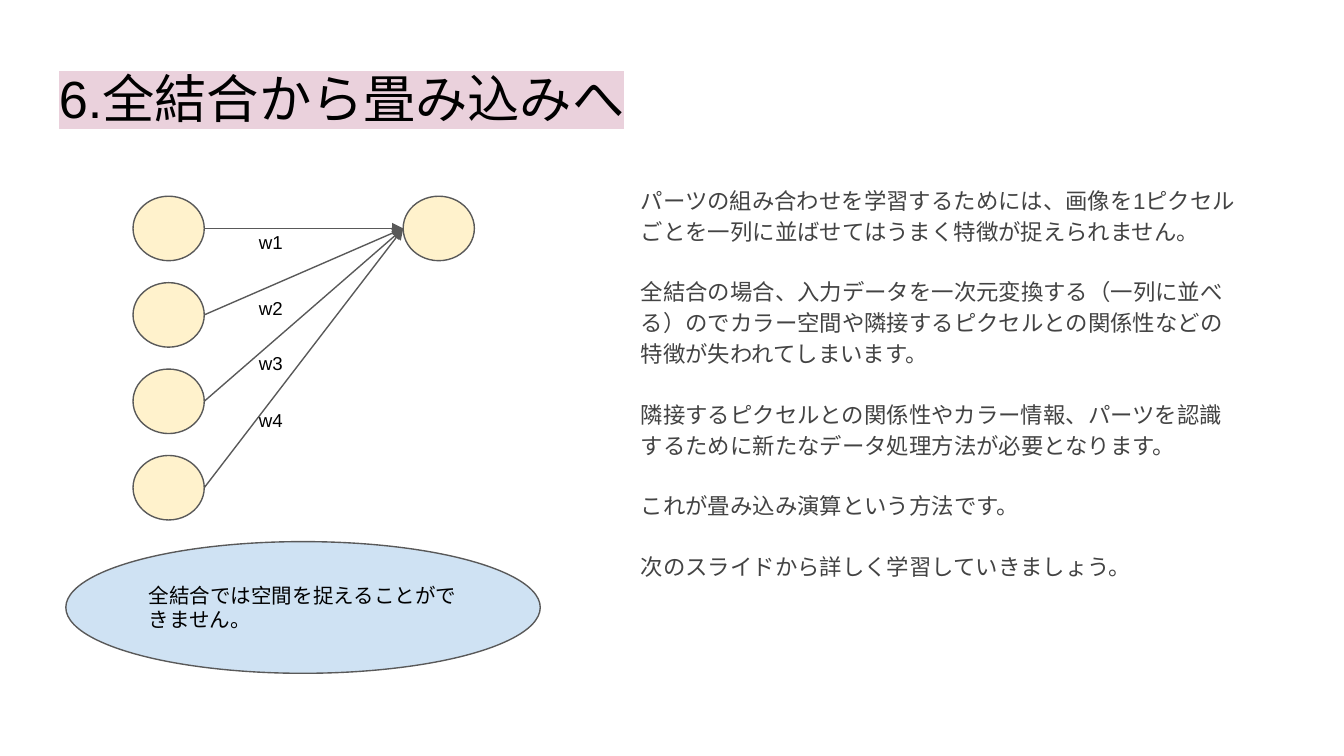
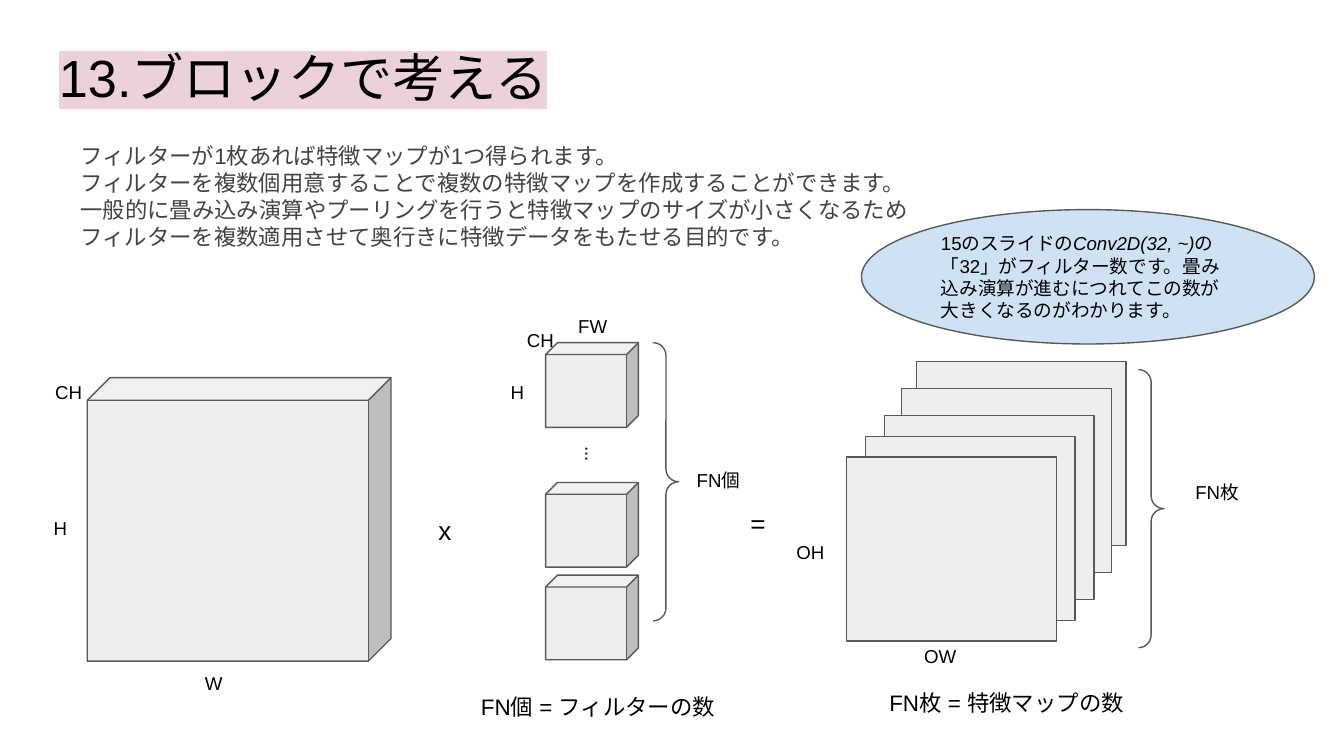
from dataclasses import dataclass
from typing import NamedTuple, Optional

from lxml.etree import SubElement
from pptx import Presentation
from pptx.dml.color import RGBColor
from pptx.enum.shapes import MSO_CONNECTOR as Connector, MSO_SHAPE as Preset
from pptx.enum.text import MSO_ANCHOR as Anchor, MSO_AUTO_SIZE as AutoSize, PP_ALIGN as Align
from pptx.oxml import parse_xml
from pptx.oxml.ns import nsdecls, qn
from pptx.shapes.autoshape import Shape
from pptx.slide import Slide
from pptx.util import Emu, Inches, Pt

SLIDE_WIDTH, SLIDE_HEIGHT = Inches(10), Inches(5.625)
GRID_UNIT = SLIDE_WIDTH / 100

BLACK = RGBColor(0x00, 0x00, 0x00)
GRAY_TEXT = RGBColor(0x43, 0x43, 0x43)
OUTLINE = RGBColor(0x59, 0x59, 0x59)
PINK = RGBColor(0xEA, 0xD1, 0xDC)
CREAM = RGBColor(0xFF, 0xF2, 0xCC)
PALE_BLUE = RGBColor(0xCF, 0xE2, 0xF3)
PALE_GRAY = RGBColor(0xEE, 0xEE, 0xEE)
FONT = "Arial"
INSET = Inches(0.1)


class Area(NamedTuple):
    left: float
    top: float
    width: float
    height: float


class Span(NamedTuple):
    text: str
    italic: bool = False


@dataclass(frozen=True)
class TextStyle:
    size: float
    color: RGBColor = BLACK
    highlight: Optional[RGBColor] = None
    align: Align = Align.LEFT
    anchor: Anchor = Anchor.TOP
    line_spacing: Optional[float] = None
    gap: float = 0


@dataclass(frozen=True)
class Label:
    text: str
    area: Area
    size: float = 10
    anchor: Anchor = Anchor.MIDDLE
    rotation: float = 0


@dataclass(frozen=True)
class Figure:
    preset: Preset
    area: Area
    fill: Optional[RGBColor] = None
    adjustments: tuple[float, ...] = ()


TITLE = TextStyle(28, highlight=PINK)
BODY = TextStyle(12, GRAY_TEXT, line_spacing=1.15, gap=16)
INTRO = TextStyle(12, GRAY_TEXT)

NEURON_WIDTH, NEURON_HEIGHT, NEURON_STEP = 5.3, 4.8, 6.43
INPUT_LEFT, OUTPUT_LEFT, NEURON_TOP = 9.9, 30, 14.6
INPUT_COUNT = 4
WEIGHT_TOPS = (16.2, 21.1, 25.2, 29.4)

FC_BODY = (
    "パーツの組み合わせを学習するためには、画像を1ピクセルごとを一列に並ばせてはうまく特徴が捉えられません。",
    "全結合の場合、入力データを一次元変換する（一列に並べる）のでカラー空間や隣接するピクセルとの関係性などの特徴が失われてしまいます。",
    "隣接するピクセルとの関係性やカラー情報、パーツを認識するために新たなデータ処理方法が必要となります。",
    "これが畳み込み演算という方法です。",
    "次のスライドから詳しく学習していきましょう。",
)

BLOCK_INTRO = (
    "フィルターが1枚あれば特徴マップが1つ得られます。",
    "フィルターを複数個用意することで複数の特徴マップを作成することができます。",
    "一般的に畳み込み演算やプーリングを行うと特徴マップのサイズが小さくなるため",
    "フィルターを複数適用させて奥行きに特徴データをもたせる目的です。",
)

FILTER_TOPS = (25.5, 35.9, 42.8)
MAP_CORNERS = ((68.2, 26.9), (67.1, 28.9), (65.8, 30.9), (64.4, 32.5), (63, 34))
BRACE_CORNERS = ((48.6, 25.5), (84.7, 27.5))

BLOCK_FIGURES = (
    Figure(Preset.CUBE, Area(6.5, 28.1, 22.6, 21.1), PALE_GRAY, (0.08,)),
    *(Figure(Preset.CUBE, Area(40.6, top, 6.9, 6.3), PALE_GRAY, (0.14,)) for top in FILTER_TOPS),
    *(Figure(Preset.RECTANGLE, Area(*corner, 15.6, 13.7), PALE_GRAY) for corner in MAP_CORNERS),
    *(Figure(Preset.RIGHT_BRACE, Area(*corner, 1.9, 20.7), None, (0.5, 0.5)) for corner in BRACE_CORNERS),
)

BLOCK_LABELS = (
    Label("CH", Area(2.9, 27.5, 4.4, 3.4)),
    Label("W", Area(13.7, 49.1, 4.4, 3.4)),
    Label("H", Area(2.3, 37.6, 4.4, 3.4)),
    Label("FW", Area(41.9, 22.6, 4.4, 3.4)),
    Label("CH", Area(38, 23.6, 4.4, 3.4)),
    Label("H", Area(36.3, 27.5, 4.4, 3.4)),
    Label("OW", Area(67.4, 47.1, 5.1, 3.4)),
    Label("OH", Area(58.1, 39.4, 4.4, 3.4)),
    Label("FN個", Area(50, 34, 6.9, 3.4)),
    Label("FN枚", Area(87.5, 34.9, 6.1, 3.4)),
    Label("...", Area(41.9, 32.1, 4.4, 3.4), rotation=90),
    Label("FN個 = フィルターの数", Area(32.1, 50.9, 24.8, 3.4), 12),
    Label("FN枚 = 特徴マップの数", Area(62.5, 50.6, 24.8, 3.4), 12),
    Label("x", Area(31.5, 38.1, 3.2, 2.7), 14),
    Label("=", Area(54.8, 37.6, 3.2, 2.7), 14),
)


def grid(*units: float) -> list[Emu]:
    return [Emu(round(unit * GRID_UNIT)) for unit in units]


def write(shape: Shape, paragraphs: tuple[tuple[Span, ...], ...], style: TextStyle) -> None:
    frame = shape.text_frame
    frame.word_wrap = True
    frame.auto_size = AutoSize.NONE
    frame.vertical_anchor = style.anchor
    frame.margin_left = frame.margin_right = INSET
    frame.margin_top = frame.margin_bottom = INSET
    for index, spans in enumerate(paragraphs):
        para = frame.add_paragraph() if index else frame.paragraphs[0]
        para.alignment = style.align
        if style.line_spacing:
            para.line_spacing = style.line_spacing
        if index and style.gap:
            para.space_before = Pt(style.gap)
        for span in spans:
            run = para.add_run()
            run.text = span.text
            font = run.font
            font.size = Pt(style.size)
            font.italic = span.italic
            font.color.rgb = style.color
            font.name = FONT
            properties = run._r.get_or_add_rPr()
            east_asian = SubElement(properties, qn("a:ea"), typeface=FONT)
            properties.find(qn("a:latin")).addnext(east_asian)
            if style.highlight:
                highlight = parse_xml(
                    f'<a:highlight {nsdecls("a")}><a:srgbClr val="{style.highlight}"/></a:highlight>'
                )
                properties.find(qn("a:solidFill")).addnext(highlight)


def add_text(slide: Slide, area: Area, lines: tuple[str, ...], style: TextStyle) -> Shape:
    box = slide.shapes.add_textbox(*grid(*area))
    write(box, tuple((Span(line),) for line in lines), style)
    return box


def add_title(slide: Slide, text: str, top: float) -> None:
    add_text(slide, Area(3.4, top, 93.2, 6.3), (text,), TITLE)


def add_label(slide: Slide, label: Label) -> None:
    style = TextStyle(label.size, align=Align.CENTER, anchor=label.anchor)
    box = add_text(slide, label.area, (label.text,), style)
    box.rotation = label.rotation


def add_figure(slide: Slide, figure: Figure) -> Shape:
    shape = slide.shapes.add_shape(figure.preset, *grid(*figure.area))
    shape.shadow.inherit = False
    if figure.fill is None:
        shape.fill.background()
    else:
        shape.fill.solid()
        shape.fill.fore_color.rgb = figure.fill
    shape.line.color.rgb = OUTLINE
    shape.line.width = Pt(0.75)
    for index, value in enumerate(figure.adjustments):
        shape.adjustments[index] = value
    return shape


def add_callout(slide: Slide, area: Area, spans: tuple[Span, ...], size: float) -> None:
    ellipse = add_figure(slide, Figure(Preset.OVAL, area, PALE_BLUE))
    write(ellipse, (spans,), TextStyle(size, highlight=PALE_BLUE, anchor=Anchor.MIDDLE))


def add_arrow(slide: Slide, start: tuple[float, float], end: tuple[float, float]) -> None:
    arrow = slide.shapes.add_connector(Connector.STRAIGHT, *grid(*start, *end))
    arrow.line.color.rgb = OUTLINE
    arrow.line.width = Pt(0.75)
    SubElement(arrow.line._get_or_add_ln(), qn("a:tailEnd"), type="triangle")
    SubElement(arrow._element.spPr, qn("a:effectLst"))


def add_neuron(slide: Slide, left: float, top: float) -> None:
    add_figure(slide, Figure(Preset.OVAL, Area(left, top, NEURON_WIDTH, NEURON_HEIGHT), CREAM))


def build_fully_connected(slide: Slide) -> None:
    add_title(slide, "6.全結合から畳み込みへ", 3.9)
    add_text(slide, Area(46.7, 12.6, 46.6, 34.1), FC_BODY, BODY)
    add_neuron(slide, OUTPUT_LEFT, NEURON_TOP)
    middle = NEURON_TOP + NEURON_HEIGHT / 2
    for index in range(INPUT_COUNT):
        drop = index * NEURON_STEP
        add_neuron(slide, INPUT_LEFT, NEURON_TOP + drop)
        add_arrow(slide, (INPUT_LEFT + NEURON_WIDTH, middle + drop), (OUTPUT_LEFT, middle))
    for number, top in enumerate(WEIGHT_TOPS, 1):
        add_label(slide, Label(f"w{number}", Area(17.7, top, 4.9, 3.3), anchor=Anchor.TOP))
    add_callout(
        slide, Area(4.9, 40.3, 35.3, 9.8), (Span("全結合では空間を捉えることができません。"),), 11
    )


def build_blocks(slide: Slide) -> None:
    add_title(slide, "13.ブロックで考える", 2.4)
    for figure in BLOCK_FIGURES:
        add_figure(slide, figure)
    add_text(slide, Area(5, 9.6, 92.7, 11.5), BLOCK_INTRO, INTRO)
    for label in BLOCK_LABELS:
        add_label(slide, label)
    add_callout(
        slide,
        Area(64.1, 15.6, 33.7, 10),
        (
            Span("15のスライドの"),
            Span("Conv2D(32, ~)", italic=True),
            Span("の「32」がフィルター数です。畳み込み演算が進むにつれてこの数が大きくなるのがわかります。"),
        ),
        10,
    )


def main() -> None:
    deck = Presentation()
    deck.slide_width, deck.slide_height = SLIDE_WIDTH, SLIDE_HEIGHT
    for build in (build_fully_connected, build_blocks):
        build(deck.slides.add_slide(deck.slide_layouts[6]))
    deck.save("out.pptx")


if __name__ == "__main__":
    main()
